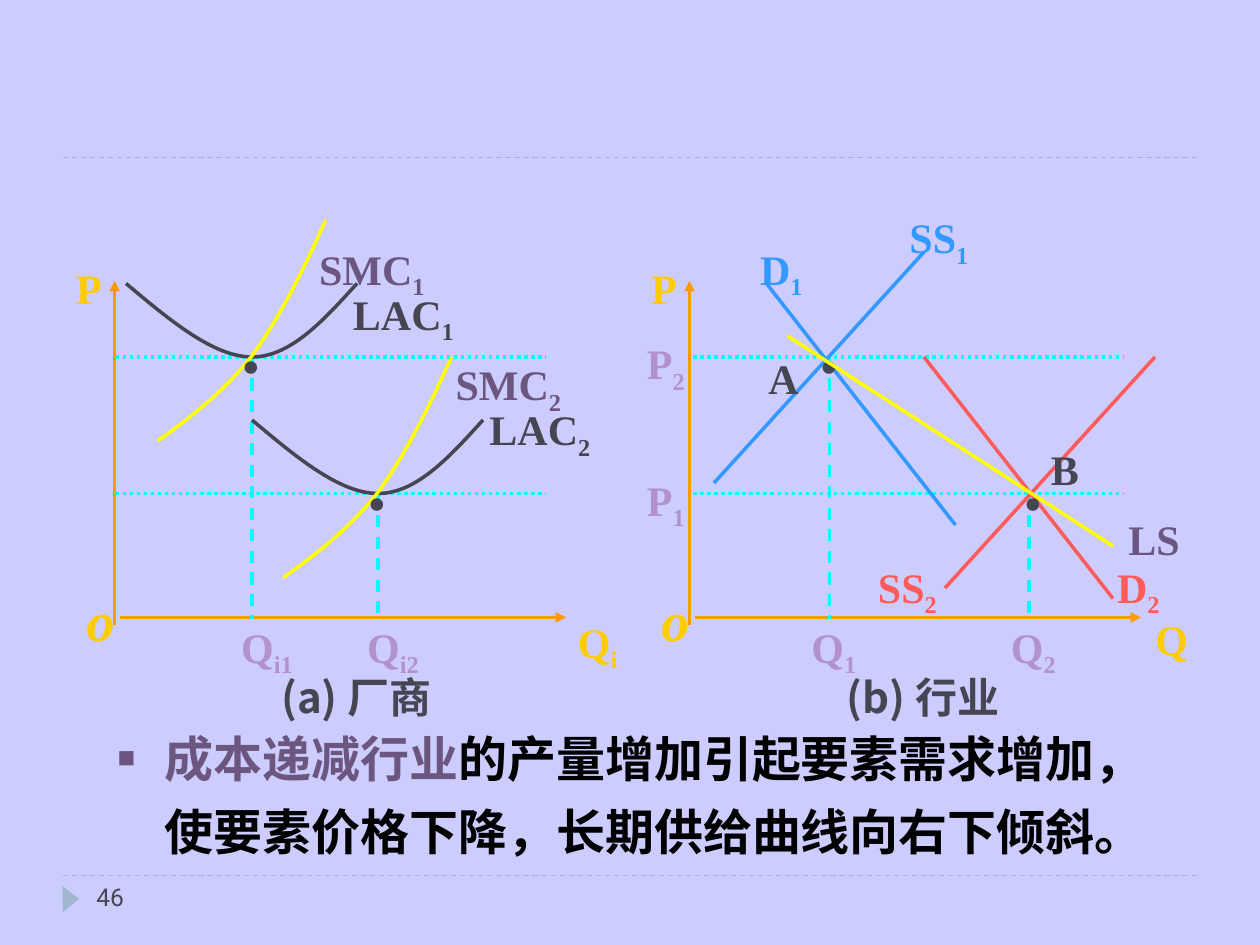
from dataclasses import dataclass

from lxml import etree
from pptx import Presentation
from pptx.dml.color import RGBColor
from pptx.enum.dml import MSO_LINE
from pptx.enum.shapes import MSO_CONNECTOR, MSO_SHAPE
from pptx.enum.text import MSO_ANCHOR, MSO_AUTO_SIZE, PP_ALIGN
from pptx.oxml.ns import qn
from pptx.util import Pt

DASH = MSO_LINE.DASH
DOT = MSO_LINE.ROUND_DOT
STRAIGHT = MSO_CONNECTOR.STRAIGHT
TRIANGLE = MSO_SHAPE.ISOSCELES_TRIANGLE
CENTER = PP_ALIGN.CENTER
LEFT = PP_ALIGN.LEFT
TOP = MSO_ANCHOR.TOP
FIXED = MSO_AUTO_SIZE.NONE


@dataclass(frozen=True)
class Theme:
    background: str = "CCCCFF"
    rule: str = "9FB8CD"
    axis: str = "FF9900"
    axis_text: str = "FFCC00"
    guide: str = "00FFFF"
    dark: str = "464653"
    purple: str = "6B5680"
    lilac: str = "B292CA"
    yellow: str = "FFFF00"
    blue: str = "3399FF"
    red: str = "FF5B5B"
    black: str = "000000"
    serif: str = "Times New Roman"
    sans: str = "Roboto"
    chinese: str = "Noto Sans CJK KR"
    page_size: int = 14
    label_size: int = 24
    body_size: int = 28
    origin_size: int = 32
    dot_size: int = 44


theme = Theme()
DIAGRAM_MARGINS = (20, 0, 3, 12)
PLAIN_MARGINS = (7.2, 3.6, 7.2, 3.6)

presentation = Presentation()
presentation.slide_width = Pt(720)
presentation.slide_height = Pt(540)
slide = presentation.slides.add_slide(presentation.slide_layouts[1])
slide.background.fill.solid()
slide.background.fill.fore_color.rgb = RGBColor.from_string(theme.background)
title = slide.shapes.title
title.element.getparent().remove(title.element)


def add_line(x1, y1, x2, y2, color, width=2, dash=None, arrow=False):
    connector = slide.shapes.add_connector(STRAIGHT, Pt(x1), Pt(y1), Pt(x2), Pt(y2))
    connector.line.color.rgb = RGBColor.from_string(color)
    connector.line.width = Pt(width)
    if dash:
        connector.line.dash_style = dash
    properties = connector.element.spPr
    if arrow:
        etree.SubElement(properties.find(qn("a:ln")), qn("a:tailEnd"), type="triangle")
    etree.SubElement(properties, qn("a:effectLst"))


def add_label(text, left, top, width, height, color, subscript="", size=theme.label_size,
              font=theme.serif, bold=True, italic=False, diagram=True):
    box = slide.shapes.add_textbox(Pt(left), Pt(top), Pt(width), Pt(height))
    frame = box.text_frame
    frame.word_wrap = width > 50
    margins = DIAGRAM_MARGINS if diagram else PLAIN_MARGINS
    frame.margin_left, frame.margin_top, frame.margin_right, frame.margin_bottom = map(Pt, margins)
    paragraph = frame.paragraphs[0]
    paragraph.alignment = CENTER if diagram else LEFT
    paragraph.line_spacing = 1.4 if diagram else 1.0
    for part, baseline in ((text, None), (subscript, "-25000")):
        if not part:
            continue
        run = paragraph.add_run()
        run.text = part
        run.font.name = font
        run.font.size = Pt(size)
        run.font.bold = bold
        run.font.italic = italic
        run.font.color.rgb = RGBColor.from_string(color)
        properties = run._r.get_or_add_rPr()
        if baseline:
            properties.set("baseline", baseline)
        if font == theme.chinese:
            etree.SubElement(properties, qn("a:ea"), typeface=font)


for y in (500.4, 90):
    add_line(36, y, 684, y, theme.rule, 0.75, DASH)
marker = slide.shapes.add_shape(TRIANGLE, Pt(33), Pt(509), Pt(15), Pt(9.5))
marker.rotation = 90
marker.shadow.inherit = False
marker.fill.solid()
marker.fill.fore_color.rgb = RGBColor.from_string(theme.rule)
marker.line.fill.background()
add_label("46", 48, 500.4, 156, 28.8, theme.dark, size=theme.page_size,
          font=theme.sans, bold=False, diagram=False)

body = slide.placeholders[1]
body.left, body.top, body.width, body.height = Pt(60), Pt(408), Pt(618), Pt(96)
frame = body.text_frame
frame.auto_size = FIXED
frame.vertical_anchor = TOP
frame.margin_top = Pt(0)
paragraph = frame.paragraphs[0]
properties = paragraph._p.get_or_add_pPr()
properties.set("marL", str(Pt(27)))
properties.set("indent", str(Pt(-27)))
bullet_color = etree.SubElement(properties, qn("a:buClr"))
etree.SubElement(bullet_color, qn("a:srgbClr"), val=theme.purple)
etree.SubElement(properties, qn("a:buSzPct"), val="60000")
etree.SubElement(properties, qn("a:buChar"), char="■")
paragraph.line_spacing = 1.24
paragraph.space_before = Pt(0)
for text, color in (
    ("成本递减行业", theme.purple),
    ("的产量增加引起要素需求增加，使要素价格下降，长期供给曲线向右下倾斜。", theme.black),
):
    run = paragraph.add_run()
    run.text = text
    run.font.name = theme.sans
    run.font.size = Pt(theme.body_size)
    run.font.bold = True
    run.font.color.rgb = RGBColor.from_string(color)
    etree.SubElement(run._r.get_or_add_rPr(), qn("a:ea"), typeface=theme.chinese)

for axis_x, quantity_left, quantity_width, subscript, guide_x, caption, caption_left in (
    (65.5, 308, 50, "i", 66, "(a) 厂商", 96),
    (394, 640, 42, "", 396, "(b) 行业", 420),
):
    add_line(axis_x + 3, 352.8, axis_x + 258, 352.8, theme.axis, 1.75, arrow=True)
    add_line(axis_x, 357, axis_x, 160.5, theme.axis, 1.75, arrow=True)
    add_label("o", axis_x - 36, 319.5, 39, 64, theme.axis_text,
              size=theme.origin_size, italic=True)
    add_label("Q", quantity_left, 339, quantity_width, 58, theme.axis_text, subscript)
    add_label("P", axis_x - 42, 138.5, 37.5, 52.5, theme.axis_text)
    add_label(caption, caption_left, 372, 198, 52.5, theme.dark, font=theme.chinese)
    for y in (204, 282):
        add_line(guide_x, y, guide_x + 246, y, theme.guide, dash=DOT)

for x, y, left, subscript in (
    (144, 204, 96, "i1"), (216, 282, 168, "i2"), (474, 204, 420, "1"), (588, 282, 534, "2"),
):
    add_line(x, y, x, 354, theme.guide, 1.75, DASH)
    add_label("Q", left, 342, 96, 58, theme.lilac, subscript)
for subscript, top in (("1", 258), ("2", 180)):
    add_label("P", 324, top, 96, 58, theme.lilac, subscript)

average_cost = [(72, 162), (97, 183), (122, 204), (144, 204), (166, 204), (185, 183), (204, 162)]
marginal_cost = [(90, 252), (109, 238.5), (127.5, 224), (143.5, 204), (159, 183), (173, 155), (186, 126)]
for index in range(2):
    for points, color in ((average_cost, theme.dark), (marginal_cost, theme.yellow)):
        start, *controls = [(Pt(x + 72 * index), Pt(y + 78 * index)) for x, y in points]
        builder = slide.shapes.build_freeform(*start)
        builder.add_line_segments(controls, close=False)
        curve = builder.convert_to_shape()
        curve.shadow.inherit = False
        curve.fill.background()
        curve.line.color.rgb = RGBColor.from_string(color)
        curve.line.width = Pt(2)
        outline = next(curve.element.iter(qn("a:path")))
        segments = outline.findall(qn("a:lnTo"))
        for first in range(0, len(segments), 3):
            bezier = etree.SubElement(outline, qn("a:cubicBezTo"))
            for segment in segments[first:first + 3]:
                bezier.append(segment[0])
                outline.remove(segment)
    number = str(index + 1)
    for text, left, top, color in (
        ("LAC", 174, 151.5, theme.dark), ("SMC", 156, 126, theme.purple),
    ):
        add_label(text, left + 78 * index, top + 66 * index, 96, 58, color, number)
    add_label("·", 116 + 72 * index, 160 + 78 * index, 34, 86, theme.dark, size=theme.dot_size)

for x1, y1, x2, y2, color in (
    (438, 162, 546, 300, theme.blue),
    (408, 276, 528, 144, theme.blue),
    (528, 204, 636, 342, theme.red),
    (540, 336, 660, 204, theme.red),
):
    add_line(x1, y1, x2, y2, color)
for text, subscript, left, top, color in (
    ("D", "1", 390, 126, theme.blue),
    ("SS", "1", 480, 108, theme.blue),
    ("SS", "2", 462, 307.5, theme.red),
    ("D", "2", 594, 307.5, theme.red),
):
    add_label(text, left, top, 96, 58, color, subscript)

add_label("·", 446.5, 160, 34, 86, theme.dark, size=theme.dot_size)
add_line(450, 192, 636, 312, theme.yellow)
add_label("·", 563, 238, 34, 86, theme.dark, size=theme.dot_size)
add_label("LS", 612, 282, 78, 52.5, theme.purple)
for text, left, top in (("A", 432, 198), ("B", 593.5, 250)):
    add_label(text, left, top, 31, 36, theme.dark, diagram=False)

presentation.save("out.pptx")
